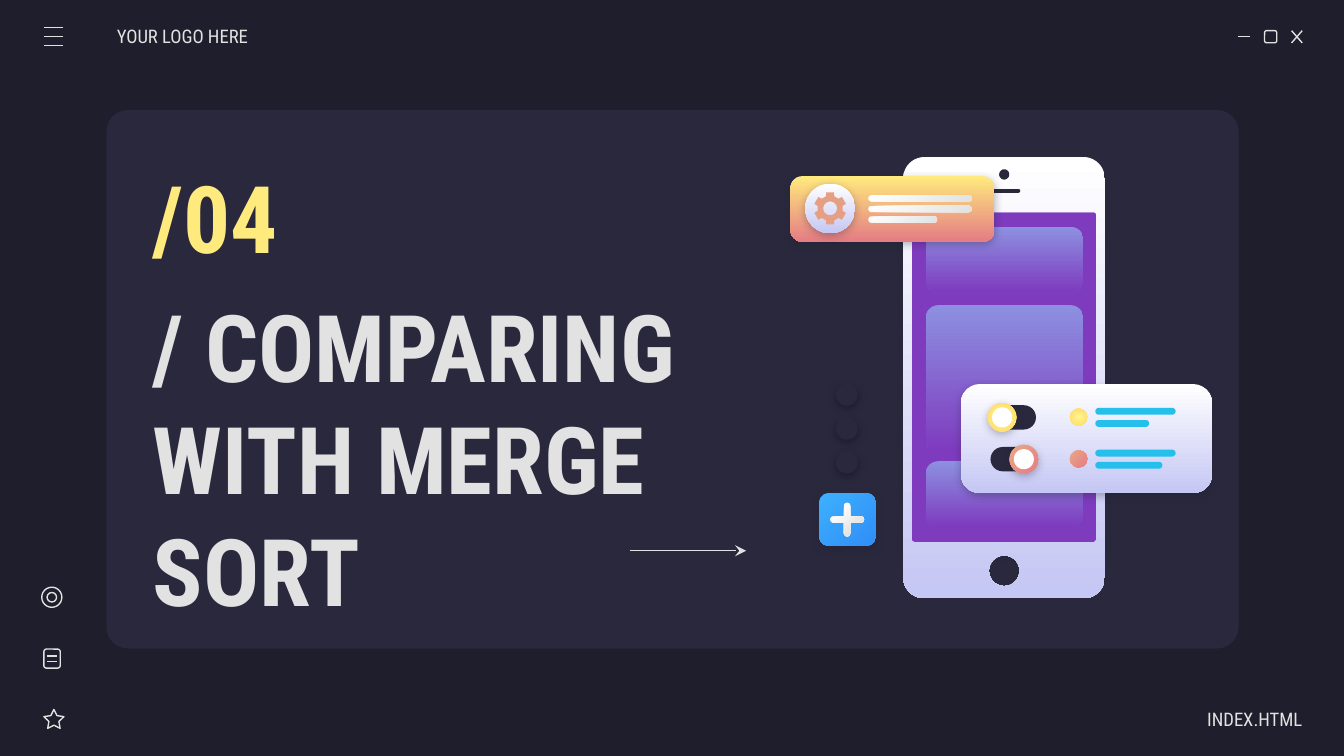
import math
from dataclasses import dataclass
from typing import Optional, Union

import pptx
import pptx.dml.color
import pptx.enum.shapes
import pptx.enum.text
import pptx.oxml.ns
import pptx.util
from lxml import etree
from pptx.util import Cm

SHAPE = pptx.enum.shapes.MSO_SHAPE
ALIGN = pptx.enum.text.PP_ALIGN
qn = pptx.oxml.ns.qn


@dataclass(frozen=True)
class Gradient:
    """Two-colour fill; the angle runs clockwise, None means radial."""
    start: str
    end: str
    angle: Optional[int] = 90


Paint = Union[str, Gradient]


@dataclass(frozen=True)
class Box:
    """Position and size in centimetres."""
    left: float
    top: float
    width: float
    height: float

    def inset(self, margin: float) -> "Box":
        return Box(self.left + margin, self.top + margin,
                   self.width - 2 * margin, self.height - 2 * margin)


@dataclass(frozen=True)
class Label:
    text: str
    box: Box
    size: int
    color: str
    bold: bool = False
    align: ALIGN = ALIGN.LEFT
    inset_left: float = 0.25
    inset_right: float = 0.25


@dataclass(frozen=True)
class Setting:
    """One row of the settings card."""
    top: float
    knob_left: float
    accent: Gradient
    short_bar: float


@dataclass(frozen=True)
class Theme:
    font: str = "Roboto Condensed"
    small: int = 10
    big: int = 50
    stroke: float = 0.75
    background: str = "1E1E2C"
    panel: str = "29283D"
    light: str = "E2E2E2"
    yellow: str = "FFEA7D"
    white: str = "FFFFFF"
    purple: str = "7E3BBE"
    gear: str = "E5A083"
    cyan: str = "24BFEB"
    black: str = "000000"
    tile: Gradient = Gradient("8D90E1", "7E3BBE")
    glass: Gradient = Gradient("FFFFFF", "C5C7F4")
    banner: Gradient = Gradient("FFEA7D", "E57C85")
    silver: Gradient = Gradient("FFFFFF", "E2E2E2", 45)
    blue: Gradient = Gradient("3DB0FD", "308EF7", 45)
    sun: Gradient = Gradient("FFF68E", "FFD966", None)
    coral: Gradient = Gradient("E9A984", "E57C85", 45)


THEME = Theme()


def rgb(color: str) -> pptx.dml.color.RGBColor:
    return pptx.dml.color.RGBColor.from_string(color)


def style(shape, paint: Optional[Paint], outlined: bool = False, shadow: Optional[str] = None) -> None:
    shape.shadow.inherit = False
    fill = shape.fill
    if paint is None:
        fill.background()
    elif isinstance(paint, str):
        fill.solid()
        fill.fore_color.rgb = rgb(paint)
    else:
        fill.gradient()
        for stop, color in zip(fill.gradient_stops, (paint.start, paint.end)):
            stop.color.rgb = rgb(color)
        if paint.angle is None:
            grad = shape._element.spPr.find(qn("a:gradFill"))
            grad.remove(grad.find(qn("a:lin")))
            circle = etree.SubElement(grad, qn("a:path"), path="circle")
            etree.SubElement(circle, qn("a:fillToRect"), l="50000", t="50000", r="50000", b="50000")
        else:
            fill.gradient_angle = 360 - paint.angle
    if outlined:
        shape.line.color.rgb = rgb(THEME.light)
        shape.line.width = pptx.util.Pt(THEME.stroke)
    else:
        shape.line.fill.background()
    if shadow:
        effects = shape._element.spPr.find(qn("a:effectLst"))
        outer = etree.SubElement(effects, qn("a:outerShdw"), blurRad="57150", dist="19050",
                                 dir="5400000", algn="bl", rotWithShape="0")
        tint = etree.SubElement(outer, qn("a:srgbClr"), val=shadow)
        etree.SubElement(tint, qn("a:alpha"), val="30000")


def add_preset(shapes, kind: SHAPE, box: Box, paint: Optional[Paint], adjust: Optional[float] = None, **look):
    shape = shapes.add_shape(kind, Cm(box.left), Cm(box.top), Cm(box.width), Cm(box.height))
    if adjust is not None:
        shape.adjustments[0] = adjust
    style(shape, paint, **look)


def add_rounded(shapes, box: Box, paint: Optional[Paint], radius: float, **look) -> None:
    add_preset(shapes, SHAPE.ROUNDED_RECTANGLE, box, paint, radius / min(box.width, box.height), **look)


def add_pill(shapes, box: Box, paint: Paint) -> None:
    add_rounded(shapes, box, paint, min(box.width, box.height) / 2)


def add_circle(shapes, left: float, top: float, size: float, paint: Optional[Paint], **look) -> None:
    add_preset(shapes, SHAPE.OVAL, Box(left, top, size, size), paint, **look)


def add_line(shapes, x1: float, y1: float, x2: float, y2: float, arrow: bool = False) -> None:
    line = shapes.add_connector(pptx.enum.shapes.MSO_CONNECTOR.STRAIGHT, Cm(x1), Cm(y1), Cm(x2), Cm(y2))
    line.line.color.rgb = rgb(THEME.light)
    line.line.width = pptx.util.Pt(THEME.stroke)
    if arrow:
        etree.SubElement(line.line._get_or_add_ln(), qn("a:tailEnd"), type="stealth")
    etree.SubElement(line._element.spPr, qn("a:effectLst"))


def add_label(shapes, label: Label) -> None:
    box = label.box
    frame = shapes.add_textbox(Cm(box.left), Cm(box.top), Cm(box.width), Cm(box.height)).text_frame
    frame.word_wrap = True
    frame.vertical_anchor = pptx.enum.text.MSO_ANCHOR.MIDDLE
    frame.margin_left, frame.margin_right = Cm(label.inset_left), Cm(label.inset_right)
    frame.margin_top = frame.margin_bottom = Cm(0.25)
    paragraph = frame.paragraphs[0]
    paragraph.alignment = label.align
    run = paragraph.add_run()
    run.text = label.text
    run.font.name, run.font.size, run.font.bold = THEME.font, pptx.util.Pt(label.size), label.bold
    run.font.color.rgb = rgb(label.color)


def polar(x: float, y: float, radius: float, degrees: float) -> tuple[float, float]:
    turn = math.radians(degrees)
    return x + radius * math.cos(turn), y + radius * math.sin(turn)


def rounded_outline(box: Box, radius: float) -> list[tuple[float, float]]:
    core = box.inset(radius)
    right, bottom = core.left + core.width, core.top + core.height
    corners = [(right, bottom), (core.left, bottom), (core.left, core.top), (right, core.top)]
    return [polar(x, y, radius, 90 * quarter + 9 * step)
            for quarter, (x, y) in enumerate(corners) for step in range(11)]


def add_cutout(shapes, contours: list[list[tuple[float, float]]], paint: Paint) -> None:
    """Fill the first contour and leave the others open."""
    contours = [[(Cm(x), Cm(y)) for x, y in contour] for contour in contours]
    builder = shapes.build_freeform(*contours[0][0])
    for index, contour in enumerate(contours):
        if index:
            builder.move_to(*contour[0])
        builder.add_line_segments(contour[1:], close=True)
    style(builder.convert_to_shape(), paint)


def draw_window_controls(shapes) -> None:
    add_line(shapes, 23.4, 0.69, 23.62, 0.69)
    add_rounded(shapes, Box(23.9, 0.58, 0.23, 0.23), None, 0.04, outlined=True)
    add_line(shapes, 24.41, 0.58, 24.61, 0.81)
    add_line(shapes, 24.61, 0.58, 24.41, 0.81)


def draw_side_icons(shapes) -> None:
    add_preset(shapes, SHAPE.STAR_5_POINT, Box(0.83, 13.41, 0.38, 0.36), None, 0.25, outlined=True)
    add_rounded(shapes, Box(0.83, 12.27, 0.31, 0.36), None, 0.05, outlined=True)
    for y in (12.4, 12.5):
        add_line(shapes, 0.89, y, 1.08, y)
    add_circle(shapes, 0.79, 11.1, 0.38, None, outlined=True)
    add_circle(shapes, 0.89, 11.2, 0.18, None, outlined=True)


def draw_phone(shapes) -> None:
    add_rounded(shapes, Box(17.12, 3.73, 3.71, 6.68), THEME.purple, 0, shadow=THEME.background)
    for top, height in ((4.29, 1.24), (5.77, 2.77), (8.72, 1.24)):
        add_rounded(shapes, Box(17.5, top, 2.97, height), THEME.tile, 0.23)
    body, screen = (Box(17.07, 2.97, 3.81, 8.34), 0.4), (Box(17.23, 4.01, 3.49, 6.24), 0.05)
    camera, speaker = (Box(18.88, 3.2, 0.2, 0.2), 0.1), (Box(18.67, 3.57, 0.62, 0.08), 0.04)
    home = (Box(18.69, 10.5, 0.58, 0.58), 0.29)
    add_cutout(shapes, [rounded_outline(*part) for part in (body, camera, speaker, screen, home)], THEME.glass)


def draw_banner(shapes) -> None:
    add_rounded(shapes, Box(14.94, 3.33, 3.86, 1.24), THEME.banner, 0.23, shadow=THEME.background)
    add_circle(shapes, 15.22, 3.47, 0.94, THEME.glass, shadow=THEME.background)
    x, y = 15.69, 3.94
    tooth = ((-19, 0.24), (-14, 0.31), (14, 0.31), (19, 0.24))
    teeth = [polar(x, y, radius, 60 * index - 90 + turn) for index in range(6) for turn, radius in tooth]
    add_cutout(shapes, [teeth, rounded_outline(Box(x - 0.13, y - 0.13, 0.26, 0.26), 0.13)], THEME.gear)
    for index, width in enumerate((1.96, 1.96, 1.3)):
        add_pill(shapes, Box(16.41, 3.69 + 0.2 * index, width, 0.12), THEME.silver)


def draw_settings(shapes) -> None:
    add_rounded(shapes, Box(18.16, 7.26, 4.75, 2.06), THEME.glass, 0.36, shadow=THEME.background)
    for row in (Setting(7.62, 18.67, THEME.sun, 1.02), Setting(8.41, 19.08, THEME.coral, 1.27)):
        add_pill(shapes, Box(18.72, row.top + 0.04, 0.86, 0.46), THEME.panel)
        add_circle(shapes, row.knob_left, row.top, 0.54, row.accent, shadow=THEME.background)
        add_circle(shapes, row.knob_left + 0.08, row.top + 0.08, 0.38, THEME.white)
        add_circle(shapes, 20.22, row.top + 0.1, 0.33, row.accent)
        for offset, width in ((0.09, 1.52), (0.32, row.short_bar)):
            add_pill(shapes, Box(20.7, row.top + offset, width, 0.13), THEME.cyan)


def draw_add_button(shapes) -> None:
    add_rounded(shapes, Box(15.48, 9.32, 1.07, 1), THEME.blue, 0.18, shadow=THEME.background)
    for width, height in ((0.64, 0.12), (0.12, 0.64)):
        add_pill(shapes, Box(16.01 - width / 2, 9.82 - height / 2, width, height), THEME.silver)
    for index in range(3):
        add_circle(shapes, 15.8, 7.26 + 0.64 * index, 0.41, THEME.panel, shadow=THEME.black)


def main() -> None:
    deck = pptx.Presentation()
    deck.slide_width, deck.slide_height = Cm(25.4), Cm(14.29)
    slide = deck.slides.add_slide(deck.slide_layouts[6])
    slide.background.fill.solid()
    slide.background.fill.fore_color.rgb = rgb(THEME.background)
    shapes = slide.shapes

    add_rounded(shapes, Box(2.01, 2.08, 21.4, 10.18), THEME.panel, 0.41)
    draw_window_controls(shapes.add_group_shape().shapes)
    menu = shapes.add_group_shape().shapes
    for index in range(3):
        y = 0.52 + 0.17 * index
        add_line(menu, 0.83, y, 1.2, y)
    draw_side_icons(shapes.add_group_shape().shapes)
    for label in (
        Label("YOUR LOGO HERE", Box(2.21, 0.3, 2.97, 0.76), THEME.small, THEME.light, inset_left=0),
        Label("INDEX.HTML", Box(21.64, 13.21, 2.97, 0.76), THEME.small, THEME.light,
              align=ALIGN.RIGHT, inset_right=0),
        Label("/ COMPARING WITH MERGE SORT", Box(2.64, 6.55, 13.13, 4.17), THEME.big, THEME.light, bold=True),
        Label("/04", Box(2.64, 2.92, 4.52, 2.34), THEME.big, THEME.yellow, bold=True),
    ):
        add_label(shapes, label)
    add_line(shapes, 11.91, 10.41, 14.1, 10.41, arrow=True)
    illustration = shapes.add_group_shape().shapes
    for draw in (draw_phone, draw_banner, draw_settings, draw_add_button):
        draw(illustration)
    deck.save("out.pptx")


if __name__ == "__main__":
    main()
